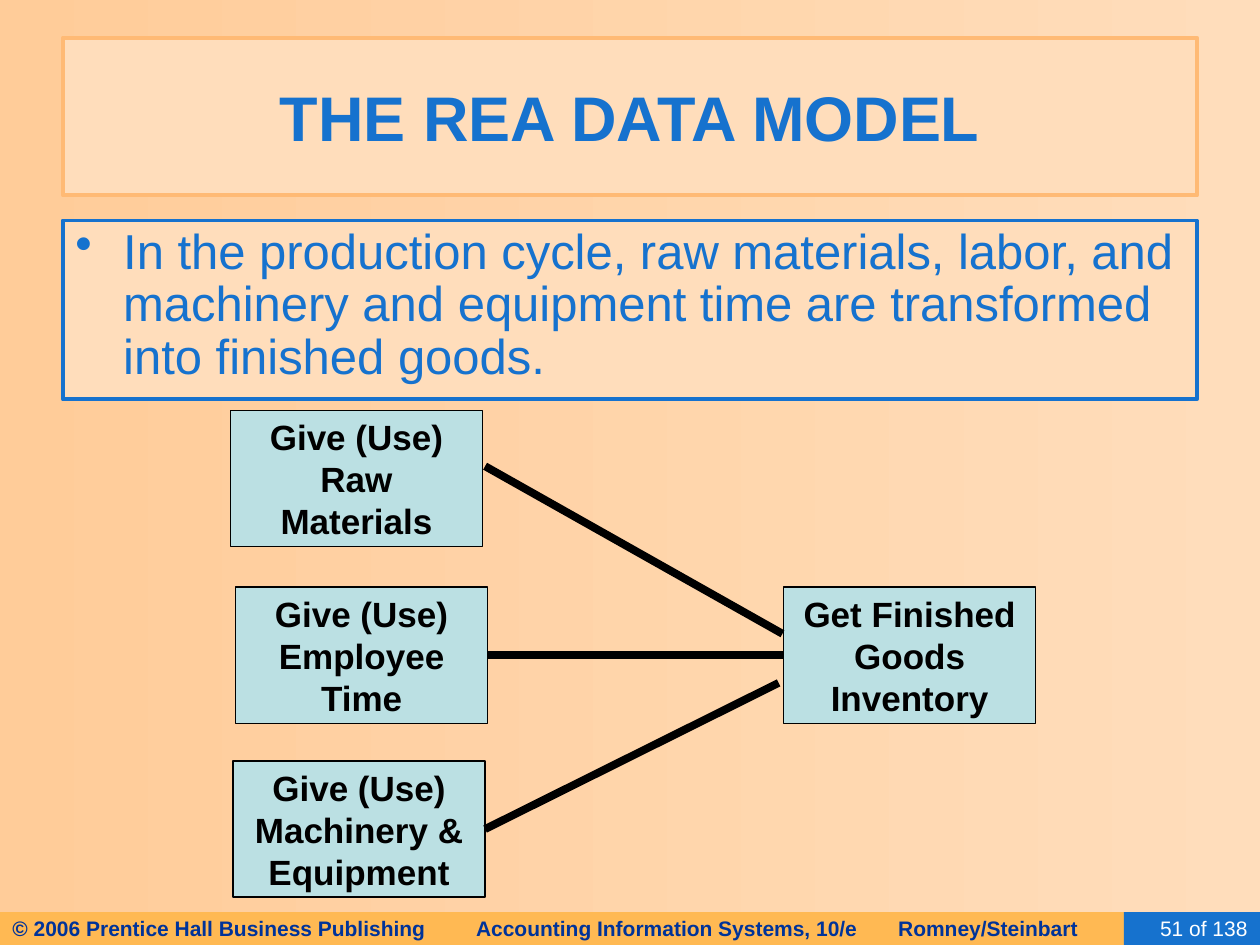
from lxml.etree import SubElement
from pptx import Presentation
from pptx.dml.color import RGBColor
from pptx.enum.shapes import MSO_CONNECTOR as Connector, MSO_SHAPE as Shape
from pptx.enum.text import MSO_ANCHOR as Anchor, PP_ALIGN as Align
from pptx.oxml.ns import qn
from pptx.util import Inches, Pt

BLUE, PEACH, BLACK, WHITE = "1672CE", "FFDDBB", "000000", "FFFFFF"
BACKGROUND = ["FFCC99", PEACH]
TITLE = "THE REA DATA MODEL"
BODY = ("In the production cycle, raw materials, labor, and machinery and "
        "equipment time are transformed into finished goods.")
FOOTER = ["© 2006 Prentice Hall Business Publishing",
          "Accounting Information Systems, 10/e", "Romney/Steinbart"]
FOOTER_TABS = [3.68, 7.03]
PAGE = "51 of 138"
EVENT_SIZE = (2, 1.08)
EVENTS = {
    "materials": ("Give (Use) Raw\nMaterials", 1.83, 3.26),
    "labor": ("Give (Use) Employee Time", 1.87, 4.66),
    "machinery": ("Give (Use) Machinery & Equipment", 1.85, 6.04),
    "inventory": ("Get Finished Goods Inventory", 6.22, 4.66),
}
LINKS = [
    ((3.85, 3.7), (6.21, 5.03), None, None),
    ((3.87, 5.2), (6.22, 5.2), "labor", "inventory"),
    ((3.85, 6.58), (6.18, 5.42), "machinery", None),
]
LEFT_SIDE, RIGHT_SIDE = 1, 3


def color(value):
    """Turn a hex string into a colour."""
    return RGBColor.from_string(value)


def add_box(slide, text, at, fill, size, ink, bold=False, line=None,
            align=Align.CENTER, anchor=Anchor.MIDDLE):
    """Add a filled rectangle with text."""
    shape = slide.shapes.add_shape(Shape.RECTANGLE, *map(Inches, at))
    shape.shadow.inherit = False
    shape.fill.solid()
    shape.fill.fore_color.rgb = color(fill)
    if line:
        shape.line.color.rgb = color(line[0])
        shape.line.width = Pt(line[1])
    else:
        shape.line.fill.background()
    frame = shape.text_frame
    frame.word_wrap = True
    frame.vertical_anchor = anchor
    frame.text = text
    for paragraph in frame.paragraphs:
        paragraph.alignment = align
        font = paragraph.font
        font.name, font.size, font.bold = "Arial", Pt(size), bold
        font.color.rgb = color(ink)
    return shape


def add_tabs(paragraph, stops):
    """Put left tab stops on a paragraph."""
    properties = paragraph._p.get_or_add_pPr()
    tabs = SubElement(properties, qn("a:tabLst"))
    properties.insert(0, tabs)
    for stop in stops:
        SubElement(tabs, qn("a:tab"), pos=str(Inches(stop)), algn="l")


def add_bullet(paragraph, indent):
    """Give a paragraph a round bullet and a hanging indent."""
    properties = paragraph._p.get_or_add_pPr()
    properties.set("marL", str(Inches(indent)))
    properties.set("indent", str(-Inches(indent)))
    bullet = SubElement(properties, qn("a:buChar"), char="•")
    properties.insert(0, bullet)
    paragraph.line_spacing = 0.9


def add_link(slide, start, end, source, target):
    """Draw a thick line, joined to the given boxes."""
    link = slide.shapes.add_connector(Connector.STRAIGHT, *map(Inches, start + end))
    link.line.color.rgb = color(BLACK)
    link.line.width = Pt(4.5)
    SubElement(link._element.spPr, qn("a:effectLst"))
    if source:
        link.begin_connect(source, RIGHT_SIDE)
    if target:
        link.end_connect(target, LEFT_SIDE)


def main():
    """Build the slide and save it."""
    presentation = Presentation()
    presentation.slide_width, presentation.slide_height = Inches(10), Inches(7.5)
    slide = presentation.slides.add_slide(presentation.slide_layouts[6])
    background = slide.background.fill
    background.gradient()
    background.gradient_angle = 0
    for stop, value in zip(background.gradient_stops, BACKGROUND):
        stop.color.rgb = color(value)

    footer = add_box(slide, "\t".join(FOOTER), (0, 7.24, 9.25, 0.26), "FFB953",
                     12, "003399", bold=True, align=Align.LEFT)
    add_tabs(footer.text_frame.paragraphs[0], FOOTER_TABS)
    add_box(slide, PAGE, (8.92, 7.24, 1.08, 0.26), BLUE, 12, WHITE, align=Align.RIGHT)
    body = add_box(slide, BODY, (0.5, 1.75, 9, 1.42), PEACH, 28, BLUE,
                   line=(BLUE, 2.25), align=Align.LEFT, anchor=Anchor.TOP)
    add_bullet(body.text_frame.paragraphs[0], 0.38)
    add_box(slide, TITLE, (0.5, 0.3, 9, 1.25), PEACH, 36, BLUE, bold=True,
            line=("FFBA75", 2.5))

    boxes = {name: add_box(slide, text, (left, top, *EVENT_SIZE), "BBE0E3", 20,
                           BLACK, bold=True, line=(BLACK, 0.75))
             for name, (text, left, top) in EVENTS.items()}
    for start, end, source, target in LINKS:
        add_link(slide, start, end, boxes.get(source), boxes.get(target))
    presentation.save("out.pptx")


if __name__ == "__main__":
    main()
